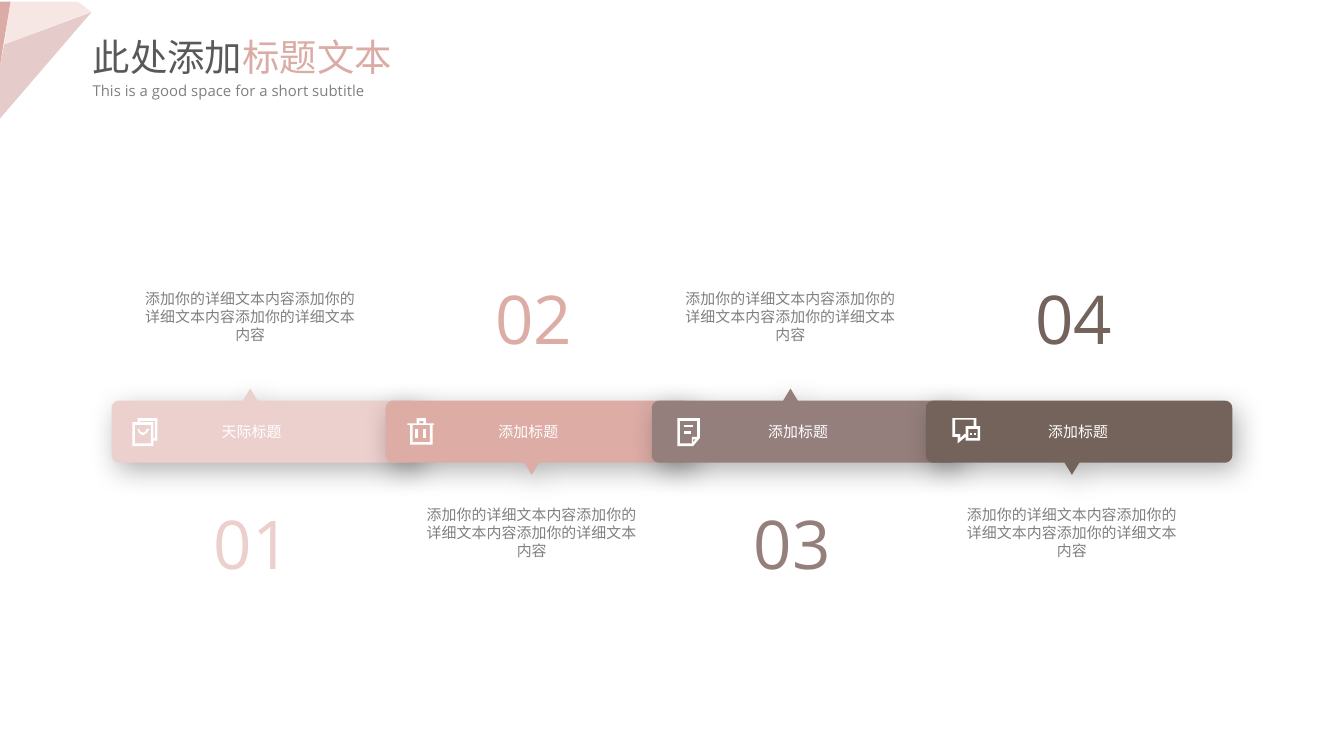
from math import cos, pi, sin

from lxml import etree
from pptx import Presentation
from pptx.dml.color import RGBColor
from pptx.enum.text import MSO_ANCHOR, MSO_AUTO_SIZE, PP_ALIGN
from pptx.oxml.ns import qn
from pptx.util import Cm, Pt

LEFT, CENTER = PP_ALIGN.LEFT, PP_ALIGN.CENTER
TOP = MSO_ANCHOR.TOP
GROW = MSO_AUTO_SIZE.SHAPE_TO_FIT_TEXT

THEME = {
    "font": "Open Sans",
    "white": "FFFFFF", "dark": "595959", "gray": "808080", "accent": "DBACA5",
    "title": 20, "body": 8, "number": 36,
}

TITLE = [("此处添加", THEME["dark"]), ("标题文本", THEME["accent"])]
SUBTITLE = "This is a good space for a short subtitle"
DETAIL = "添加你的详细文本内容添加你的详细文本内容添加你的详细文本内容"

CORNER = [
    ("E5CBC9", [(1.73, 0.23), (0.08, 0.84), (0, 1.24), (0, 2.24)]),
    ("F6E7E4", [(1.73, 0.23), (1.47, 0.03), (0.2, 0.03), (0.08, 0.84)]),
    ("DBACA5", [(0.2, 0.03), (0, 0.03), (0, 1.24)]),
]


def block(x, y, width, height):
    return [(x, y), (x + width, y), (x + width, y + height), (x, y + height)]


BAG = [
    [[(19, 0), (4, 0), (4, 3), (0, 3), (0, 21), (16, 21), (16, 17), (19, 17)],
     block(2, 5, 12, 14),
     [(17, 15), (16, 15), (16, 3), (6, 3), (6, 2), (17, 2)]],
    [[(4, 8), (5, 11), (8, 13), (11, 11), (13, 8),
      (11, 8), (10, 10), (8, 11), (6, 10), (5, 8)]],
]
BIN = [
    [[(20, 4), (14, 4), (14, 0), (7, 0), (7, 4), (0, 4), (0, 5), (2, 5),
      (2, 20), (19, 20), (19, 5), (20, 5)],
     block(9, 2, 3, 2), block(4, 5, 13, 13)],
    [block(6, 8, 2, 7)],
    [block(12, 8, 2, 7)],
]
NOTE = [
    [[(0, 0), (0, 21), (12, 21), (17, 15), (17, 0)],
     [(2, 2), (15, 2), (15, 14), (11, 14), (11, 19), (2, 19)],
     [(14, 16), (12, 18), (12, 16)]],
    [block(5, 5, 7, 2)],
    [block(5, 10, 5, 2)],
]
CHAT = [
    [[(18, 6), (18, 0), (0, 0), (0, 14), (4, 14), (4, 19), (10, 14),
      (10, 17), (21, 17), (21, 6)],
     [(9, 12), (6, 15), (6, 12), (2, 12), (2, 1), (16, 1), (16, 6),
      (10, 6), (10, 12)],
     block(12, 8, 7, 7)],
    [block(13, 11, 2, 2)],
    [block(16, 11, 2, 2)],
]

STEPS = [
    {"number": "01", "label": "天际标题", "color": "ECD0CD", "left": 2.11,
     "label_left": 3.94, "icon": BAG, "icon_left": 2.5, "up": True},
    {"number": "02", "label": "添加标题", "color": "DCACA5", "left": 7.29,
     "label_left": 9.17, "icon": BIN, "icon_left": 7.7, "up": False},
    {"number": "03", "label": "添加标题", "color": "957F7C", "left": 12.32,
     "label_left": 14.27, "icon": NOTE, "icon_left": 12.8, "up": True},
    {"number": "04", "label": "添加标题", "color": "73635B", "left": 17.5,
     "label_left": 19.56, "icon": CHAT, "icon_left": 18.0, "up": False},
]

BAR_TOP, BAR_WIDTH, BAR_HEIGHT, RADIUS = 7.57, 5.79, 1.17, 0.14
POINTER_HALF, POINTER_HEIGHT = 0.14, 0.23
ICON_TOP, ICON_UNIT = 7.9, 0.025
DETAIL_WIDTH = 4


def draw_outline(page, contours, color):
    first, *others = [[(Cm(x), Cm(y)) for x, y in points] for points in contours]
    builder = page.shapes.build_freeform(*first[0])
    builder.add_line_segments(first[1:])
    for points in others:
        builder.move_to(*points[0])
        builder.add_line_segments(points[1:])
    shape = builder.convert_to_shape()
    shape.fill.solid()
    shape.fill.fore_color.rgb = RGBColor.from_string(color)
    shape.line.fill.background()
    shape.shadow.inherit = False
    return shape


def add_shadow(shape):
    effects = shape.element.spPr.find(qn("a:effectLst"))
    shadow = etree.SubElement(effects, qn("a:outerShdw"), blurRad=str(Pt(15)),
                              dist=str(Pt(5)), dir=str(55 * 60000),
                              algn="ctr", rotWithShape="0")
    color = etree.SubElement(shadow, qn("a:srgbClr"), val="000000")
    etree.SubElement(color, qn("a:alpha"), val="30000")


def place_text(box, area, spans, size, align=LEFT, wrap=False, margin=None):
    box.left, box.top, box.width, box.height = map(Cm, area)
    frame = box.text_frame
    frame.word_wrap = wrap
    frame.auto_size = GROW
    frame.vertical_anchor = TOP
    if margin is not None:
        frame.margin_left = frame.margin_right = Cm(margin)
        frame.margin_top = frame.margin_bottom = Cm(margin)
    para = frame.paragraphs[0]
    para.alignment = align
    for text, color in spans:
        span = para.add_run()
        span.text = text
        span.font.name = THEME["font"]
        span.font.size = Pt(size)
        span.font.color.rgb = RGBColor.from_string(color)


def add_text(page, *details, **options):
    place_text(page.shapes.add_textbox(0, 0, 0, 0), *details, **options)


def pointer_center(step):
    return step["left"] + (2.62 if step["up"] else 2.76)


def bar_points(step):
    left, right = step["left"], step["left"] + BAR_WIDTH
    top, bottom = BAR_TOP, BAR_TOP + BAR_HEIGHT
    corners = [(left, top, 1, 1), (right, top, -1, 1),
               (right, bottom, -1, -1), (left, bottom, 1, -1)]
    arcs = []
    for turn, (x, y, inward_x, inward_y) in enumerate(corners):
        angles = [pi + (turn + part / 6) * pi / 2 for part in range(7)]
        arcs.append([(x + RADIUS * (inward_x + cos(angle)),
                      y + RADIUS * (inward_y + sin(angle))) for angle in angles])
    center = pointer_center(step)
    edge, tip, side = ((top, top - POINTER_HEIGHT, -1) if step["up"]
                       else (bottom, bottom + POINTER_HEIGHT, 1))
    pointer = [(center + side * POINTER_HALF, edge), (center, tip),
               (center - side * POINTER_HALF, edge)]
    arcs.insert(1 if step["up"] else 3, pointer)
    return [point for arc in arcs for point in arc]


def draw_icon(page, step):
    for contours in step["icon"]:
        placed = [[(step["icon_left"] + x * ICON_UNIT, ICON_TOP + y * ICON_UNIT)
                   for x, y in points] for points in contours]
        draw_outline(page, placed, THEME["white"])


def main():
    deck = Presentation()
    deck.slide_width, deck.slide_height = Cm(25.4), Cm(14.28)
    page = deck.slides.add_slide(deck.slide_layouts[5])

    for color, points in CORNER:
        draw_outline(page, [points], color)
    place_text(page.shapes.title, (1.5, 0.51, 6.22, 1.12), TITLE, THEME["title"])
    add_text(page, (1.5, 1.42, 5.77, 0.61), [(SUBTITLE, THEME["gray"])], THEME["body"])

    for step in STEPS:
        add_shadow(draw_outline(page, [bar_points(step)], step["color"]))
    for step in STEPS:
        center = pointer_center(step)
        detail_top, number_top = (5.48, 9.37) if step["up"] else (9.55, 5.11)
        draw_icon(page, step)
        add_text(page, (step["label_left"], 7.85, 1.65, 0.61),
                 [(step["label"], THEME["white"])], THEME["body"])
        add_text(page, (center - DETAIL_WIDTH / 2, detail_top, DETAIL_WIDTH, 1.02),
                 [(DETAIL, THEME["gray"])], THEME["body"],
                 align=CENTER, wrap=True, margin=0)
        add_text(page, (center - 0.94, number_top, 1.98, 1.8),
                 [(step["number"], step["color"])], THEME["number"])

    deck.save("out.pptx")


if __name__ == "__main__":
    main()
